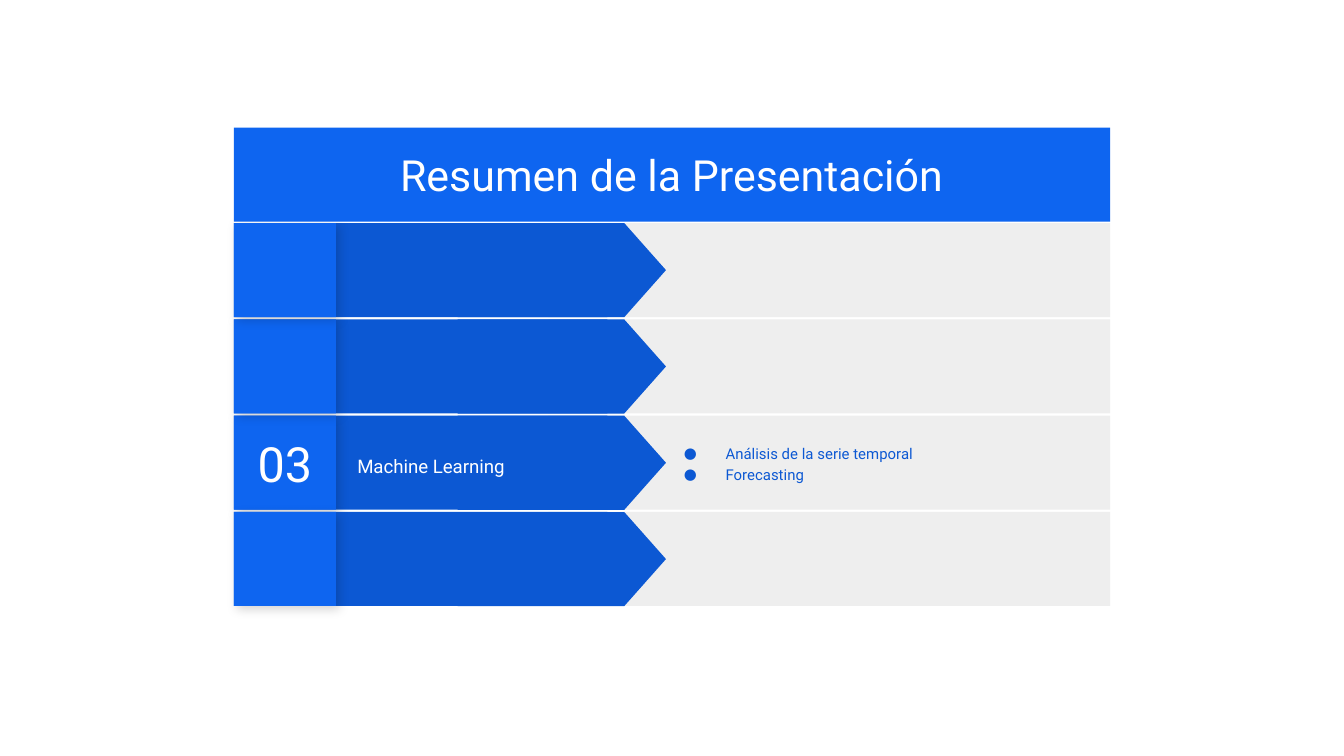
"""Build the agenda slide: a title bar above four numbered arrow rows."""
from lxml import etree
from pptx import Presentation
from pptx.dml.color import RGBColor
from pptx.enum.shapes import MSO_SHAPE
from pptx.enum.text import MSO_ANCHOR, PP_ALIGN
from pptx.oxml import parse_xml
from pptx.oxml.ns import nsdecls, qn
from pptx.util import Inches, Pt

RECT, ARROW = MSO_SHAPE.RECTANGLE, MSO_SHAPE.FLOWCHART_OFFPAGE_CONNECTOR
MIDDLE, LEFT, CENTER = MSO_ANCHOR.MIDDLE, PP_ALIGN.LEFT, PP_ALIGN.CENTER

TITLE = "Resumen de la Presentación"
SECTIONS = [
    {},
    {},
    {
        "number": "03",
        "topic": "Machine Learning",
        "details": ["Análisis de la serie temporal", "Forecasting"],
    },
    {},
]
STACKING = [2, 3, 1, 0]

THEME = {
    "font": "Roboto",
    "bright": "0E65F0", "under": "0D5DDF", "deep": "0C58D3",
    "panel": "EEEEEE", "white": "FFFFFF", "shadow": "000000",
    "title": 23, "number": 26, "topic": 10, "detail": 8,
}

SLIDE_WIDTH = 10
SLIDE_HEIGHT = SLIDE_WIDTH * 9 / 16
TITLE_TOP, FIRST_ROW, LAST_ROW = 0.95, 1.66, 3.81
ROW_HEIGHT = 0.7
ROW_PITCH = (LAST_ROW - FIRST_ROW) / (len(SECTIONS) - 1)
EDGE, FULL_WIDTH = 1.74, 6.52
BAND_LEFT, BAND_WIDTH = 2.5, 2.02
NUMBER_WIDTH = BAND_LEFT - EDGE
PANEL_LEFT, PANEL_WIDTH = 4.08, 4.18
ARROW_CENTER, ARROW_LENGTH = 4.18, 1.55

FRAME = {
    "word_wrap": True,
    "vertical_anchor": MIDDLE,
    **{f"margin_{side}": Inches(0.1) for side in ("left", "right", "top", "bottom")},
}


def apply(target, values):
    for name, value in values.items():
        setattr(target, name, value)


def add_block(slide, kind, left, top, width, height, color):
    block = slide.shapes.add_shape(kind, *map(Inches, (left, top, width, height)))
    block.shadow.inherit = False
    block.fill.solid()
    block.fill.fore_color.rgb = RGBColor.from_string(THEME[color])
    block.line.fill.background()
    return block


def add_shadow(block):
    effects = block._element.spPr.find(qn("a:effectLst"))
    effects.append(parse_xml(
        f'<a:outerShdw {nsdecls("a")} blurRad="{Pt(5.6)}" dist="{Pt(2.2)}" '
        f'dir="{45 * 60000}" algn="bl" rotWithShape="0">'
        f'<a:srgbClr val="{THEME["shadow"]}"><a:alpha val="17000"/></a:srgbClr>'
        '</a:outerShdw>'))


def add_bullet(paragraph, color):
    properties = paragraph._p.get_or_add_pPr()
    properties.set("marL", str(Inches(0.5)))
    properties.set("indent", str(Inches(-0.31)))
    bullet_color = etree.SubElement(properties, qn("a:buClr"))
    etree.SubElement(bullet_color, qn("a:srgbClr"), val=THEME[color])
    etree.SubElement(properties, qn("a:buFont"), typeface=THEME["font"])
    etree.SubElement(properties, qn("a:buChar"), char="●")


def write(holder, lines, size, color, align=LEFT, spacing=1.0, bulleted=False):
    frame = holder.text_frame
    apply(frame, FRAME)
    for index, line in enumerate(lines):
        paragraph = frame.add_paragraph() if index else frame.paragraphs[0]
        if bulleted:
            add_bullet(paragraph, color)
        apply(paragraph, {"text": line, "alignment": align, "line_spacing": spacing})
        apply(paragraph.font, {"name": THEME["font"], "size": Pt(THEME[size])})
        paragraph.font.color.rgb = RGBColor.from_string(THEME[color])


def add_label(slide, left, top, width, height, *text, **layout):
    label = slide.shapes.add_textbox(*map(Inches, (left, top, width, height)))
    write(label, *text, spacing=1.15, **layout)


def add_row(slide, index, section):
    top = FIRST_ROW + index * ROW_PITCH
    add_block(slide, RECT, PANEL_LEFT, top, PANEL_WIDTH, ROW_HEIGHT, "panel")
    add_block(slide, RECT, BAND_LEFT, top, BAND_WIDTH, ROW_HEIGHT, "deep")
    arrow = add_block(slide, ARROW, ARROW_CENTER - ROW_HEIGHT / 2,
                      top + (ROW_HEIGHT - ARROW_LENGTH) / 2,
                      ROW_HEIGHT, ARROW_LENGTH, "deep")
    arrow.rotation = 270
    if section:
        add_label(slide, 2.56, top + 0.09, 2.12, 0.54,
                  [section["topic"]], "topic", "white")
    number_place = (EDGE, top, NUMBER_WIDTH, ROW_HEIGHT)
    add_shadow(add_block(slide, RECT, *number_place, "under"))
    number = add_block(slide, RECT, *number_place, "bright")
    if section:
        write(number, [section["number"]], "number", "white", CENTER)
        add_label(slide, 4.8, top, 3.25, ROW_HEIGHT,
                  section["details"], "detail", "deep", bulleted=True)


def main():
    deck = Presentation()
    deck.slide_width = Inches(SLIDE_WIDTH)
    deck.slide_height = Inches(SLIDE_HEIGHT)
    slide = deck.slides.add_slide(deck.slide_layouts[6])
    for index in STACKING:
        add_row(slide, index, SECTIONS[index])
    heading = add_block(slide, RECT, EDGE, TITLE_TOP, FULL_WIDTH, ROW_HEIGHT, "bright")
    write(heading, [TITLE], "title", "white", CENTER)
    deck.save("out.pptx")


if __name__ == "__main__":
    main()
